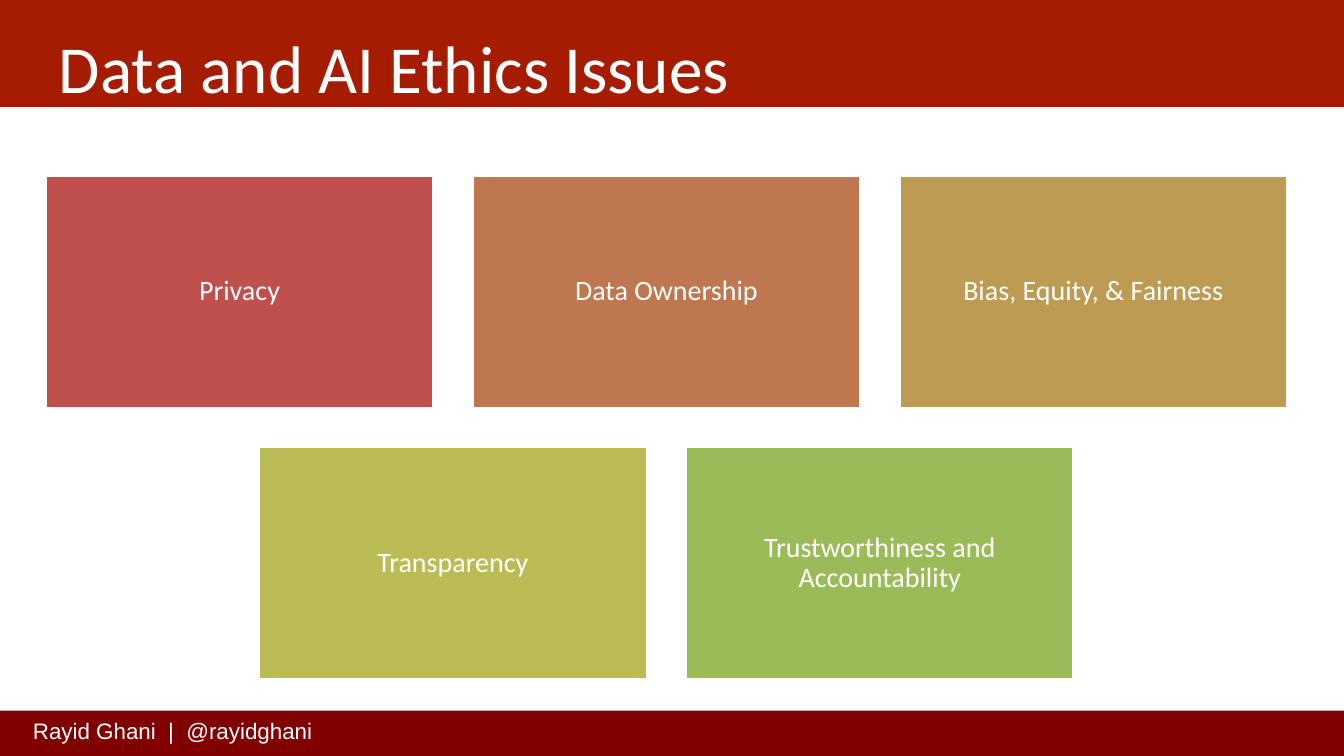
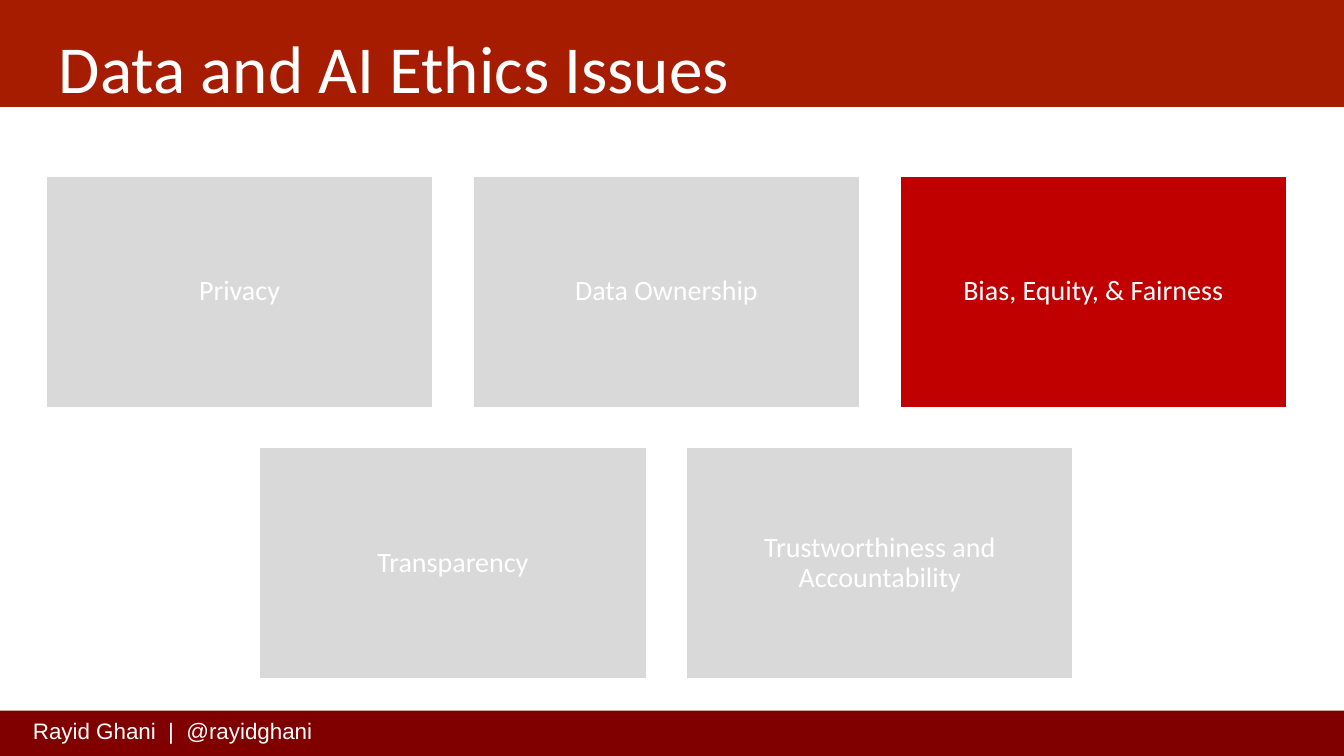
from pptx import Presentation
from pptx.dml.color import RGBColor
from pptx.enum import shapes, text
from pptx.util import Pt

COLORS = {
    "white": "FFFFFF",
    "title band": "A61C00",
    "footer band": "800000",
    "red": "C0504D",
    "copper": "BF7750",
    "ochre": "BD9B53",
    "olive": "BCBC56",
    "green": "9BBB59",
    "muted": "D9D9D9",
    "highlight": "C00000",
}
TITLE = "Data and AI Ethics Issues"
FOOTER = "Rayid Ghani  |  @rayidghani"
ISSUE_ROWS = [
    ["Privacy", "Data Ownership", "Bias, Equity, & Fairness"],
    ["Transparency", "Trustworthiness and Accountability"],
]
SLIDE_TILE_COLORS = [
    ["red", "copper", "ochre", "olive", "green"],
    ["muted", "muted", "highlight", "muted", "muted"],
]

SLIDE_WIDTH, SLIDE_HEIGHT = 960, 540
TILE_WIDTH, TILE_HEIGHT, TILE_GAP = 277.2, 166.3, 27.7
GRID_CENTER, GRID_TOP = 476, 125.3


def add_rectangle(slide, left, top, width, height, color):
    shape = slide.shapes.add_shape(
        shapes.MSO_SHAPE.RECTANGLE, Pt(left), Pt(top), Pt(width), Pt(height))
    shape.shadow.inherit = False
    shape.fill.solid()
    shape.fill.fore_color.rgb = RGBColor.from_string(COLORS[color])
    shape.line.fill.background()
    return shape


def write(shape, words, size, font, margins, anchor=text.MSO_ANCHOR.TOP,
          alignment=text.PP_ALIGN.LEFT):
    """Put one white run in a shape; margins are left, top, right, bottom."""
    frame = shape.text_frame
    frame.word_wrap = True
    frame.vertical_anchor = anchor
    (frame.margin_left, frame.margin_top,
     frame.margin_right, frame.margin_bottom) = [Pt(margin) for margin in margins]
    paragraph = frame.paragraphs[0]
    paragraph.alignment = alignment
    run = paragraph.add_run()
    run.text = words
    run.font.size = Pt(size)
    run.font.name = font
    run.font.color.rgb = RGBColor.from_string(COLORS["white"])
    return paragraph


presentation = Presentation()
presentation.slide_width = Pt(SLIDE_WIDTH)
presentation.slide_height = Pt(SLIDE_HEIGHT)

for tile_colors in SLIDE_TILE_COLORS:
    slide = presentation.slides.add_slide(presentation.slide_layouts[6])

    add_rectangle(slide, 0, 507.6, SLIDE_WIDTH, 32.4, "footer band")
    footer = slide.shapes.add_textbox(Pt(16.5), Pt(508.5), Pt(219), Pt(26.6))
    write(footer, FOOTER, 16, "Arial", (7.2, 3.6, 7.2, 3.6))

    add_rectangle(slide, -1.4, -2.9, 962, 79.2, "title band")
    title = slide.shapes.add_textbox(Pt(32.4), Pt(6.5), Pt(894.2), Pt(59.8))
    write(title, TITLE, 48, "Calibri", (9.6, 12, 9.6, 9.6))

    remaining_colors = iter(tile_colors)
    for row, issues in enumerate(ISSUE_ROWS):
        row_width = len(issues) * (TILE_WIDTH + TILE_GAP) - TILE_GAP
        row_left = GRID_CENTER - row_width / 2
        top = GRID_TOP + row * (TILE_HEIGHT + TILE_GAP)
        for column, issue in enumerate(issues):
            left = row_left + column * (TILE_WIDTH + TILE_GAP)
            tile = add_rectangle(
                slide, left, top, TILE_WIDTH, TILE_HEIGHT, next(remaining_colors))
            tile.line.color.rgb = RGBColor.from_string(COLORS["white"])
            tile.line.width = Pt(2)
            paragraph = write(tile, issue, 20, "Calibri", (6, 6, 6, 6),
                              text.MSO_ANCHOR.MIDDLE, text.PP_ALIGN.CENTER)
            paragraph.line_spacing = 0.9

presentation.save("out.pptx")
